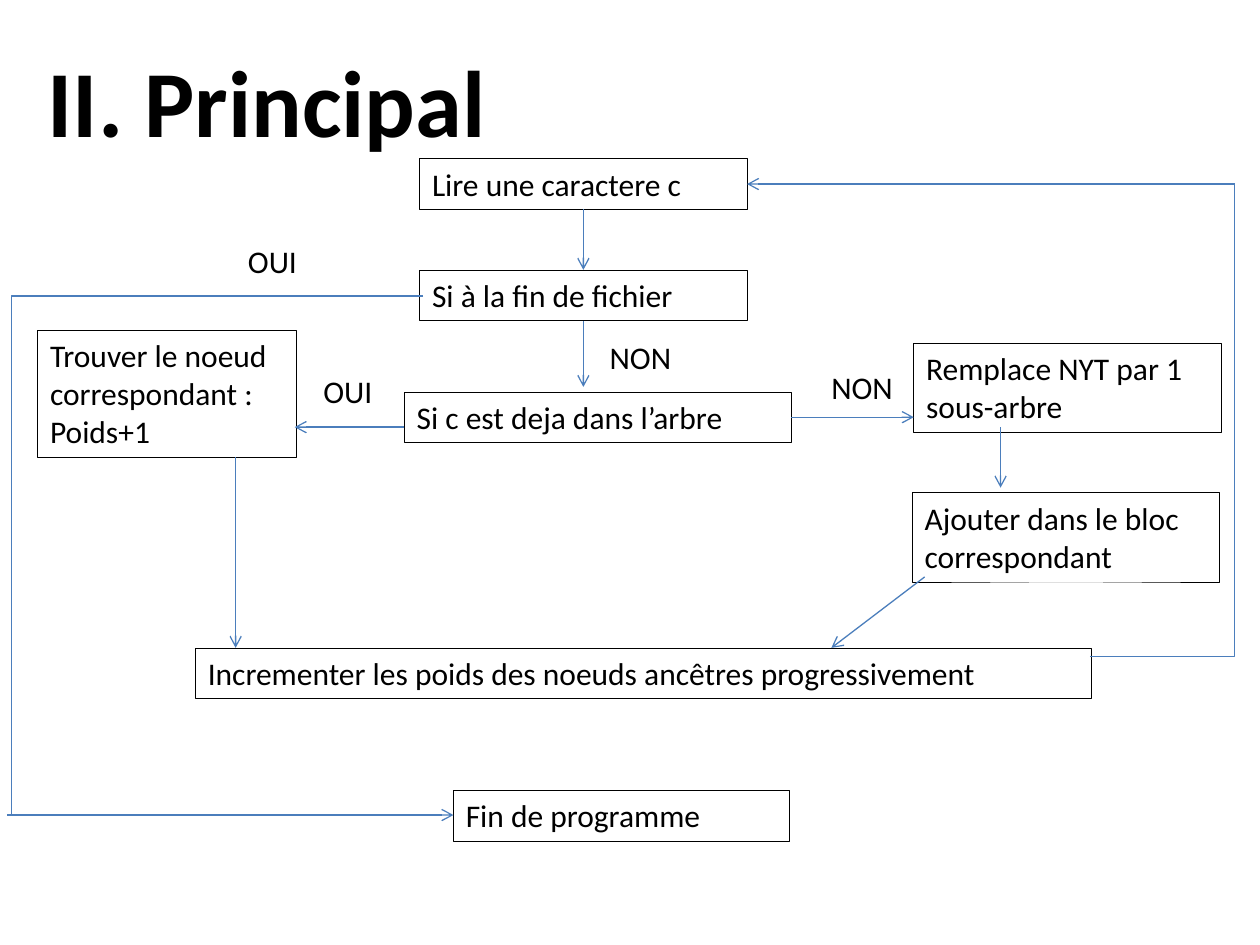
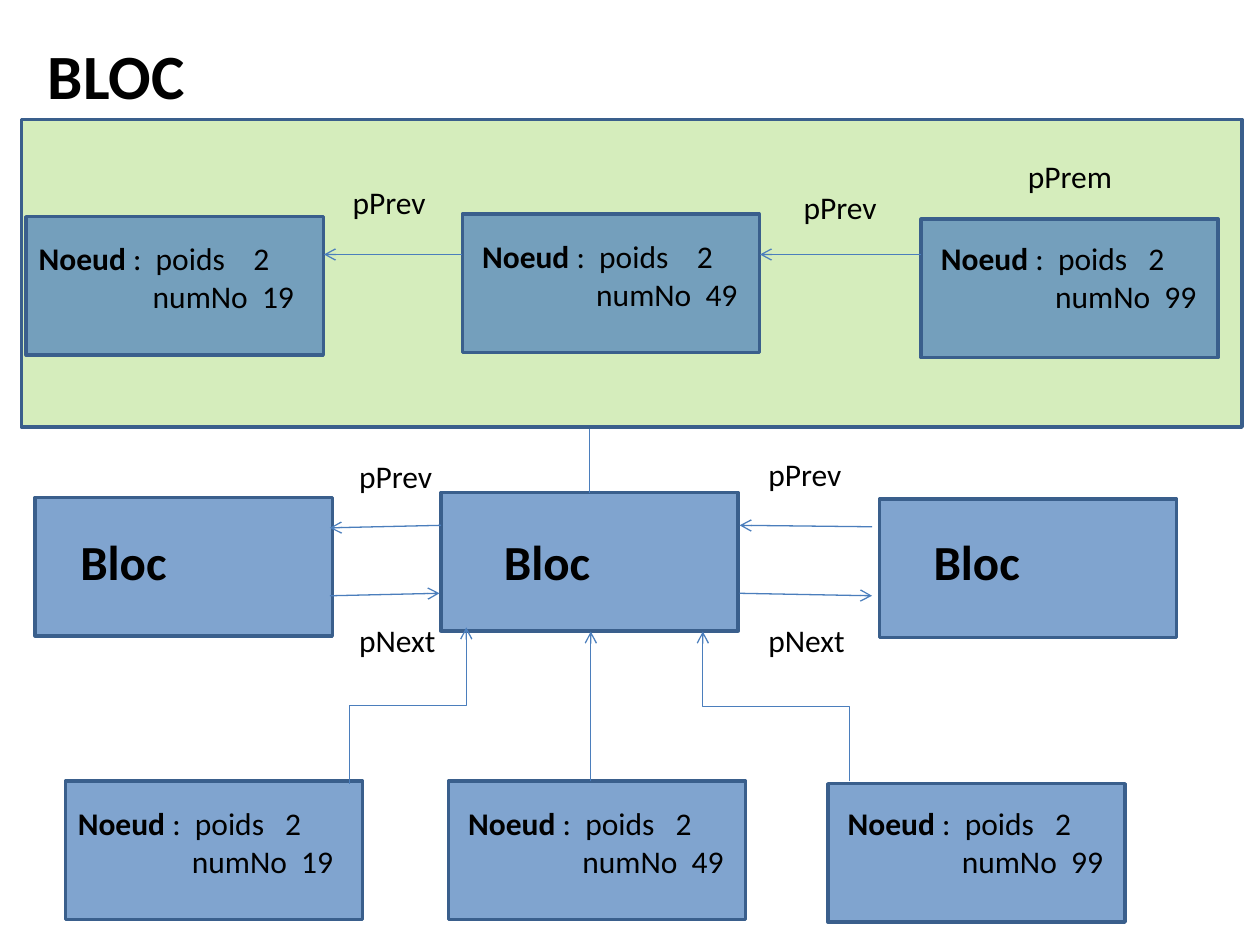
from lxml.etree import SubElement
from pptx import Presentation
from pptx.dml.color import RGBColor
from pptx.enum.shapes import MSO_CONNECTOR, MSO_SHAPE
from pptx.enum.text import MSO_ANCHOR, MSO_AUTO_SIZE, PP_ALIGN
from pptx.oxml.ns import qn
from pptx.util import Cm, Pt

FONT = "Calibri"
BLACK = "000000"
ARROW_BLUE = "4B7EBC"
BORDER_BLUE = "3A5F8C"
NODE_BLUE = "4F81BD"
GROUP_GREEN = "92D050"
LINE_HEIGHT = 1.02
NODE_SIZE = (5.99, 2.79)


def color(hex_string):
    return RGBColor.from_string(hex_string)


class Diagram:
    """Holds the deck, the current page and the shared style; lengths are in cm."""

    def __init__(self):
        self.deck = Presentation()
        self.deck.slide_width, self.deck.slide_height = Cm(25.4), Cm(19.05)
        self.page = None

    def style(self, paragraph, size=18, bold=False):
        paragraph.alignment = PP_ALIGN.LEFT
        font = paragraph.font
        font.name, font.size, font.bold = FONT, Pt(size), bold
        font.color.rgb = color(BLACK)

    def new_page(self, title, size, left, top, width, height):
        self.page = self.deck.slides.add_slide(self.deck.slide_layouts[5])
        box = self.page.shapes.title
        box.left, box.top, box.width, box.height = map(Cm, (left, top, width, height))
        frame = box.text_frame
        frame.text = title
        frame.auto_size = MSO_AUTO_SIZE.NONE
        frame.vertical_anchor = MSO_ANCHOR.TOP
        self.style(frame.paragraphs[0], size, True)

    def text(self, words, left, top, width, height=LINE_HEIGHT, size=18, bold=False):
        box = self.page.shapes.add_textbox(*map(Cm, (left, top, width, height)))
        frame = box.text_frame
        frame.word_wrap = True
        frame.text = words
        for paragraph in frame.paragraphs:
            self.style(paragraph, size, bold)
        return box

    def step(self, words, left, top, width, height=LINE_HEIGHT):
        """Outlined box of the flow chart."""
        box = self.text(words, left, top, width, height)
        box.line.color.rgb = color(BLACK)
        box.line.width = Pt(0.25)

    def panel(self, fill, opacity, left, top, width, height):
        """Rectangle with a translucent fill; opacity is in percent."""
        shape = self.page.shapes.add_shape(
            MSO_SHAPE.RECTANGLE, *map(Cm, (left, top, width, height)))
        shape.shadow.inherit = False
        shape.fill.solid()
        shape.fill.fore_color.rgb = color(fill)
        shape.line.color.rgb = color(BORDER_BLUE)
        shape.line.width = Pt(2)
        tint = shape._element.spPr.find(qn("a:solidFill")).find(qn("a:srgbClr"))
        SubElement(tint, qn("a:alpha"), val=str(opacity * 1000))

    def bloc(self, left, top, text_left):
        self.panel(NODE_BLUE, 72, left, top, *NODE_SIZE)
        self.text("Bloc", text_left, 10.59, 4.29, 1.45, 28, True)

    def node(self, number, left, top, text_left, text_top, weight_stop):
        """Panel with a weight, aligned by a tab stop, above an indented number."""
        self.panel(NODE_BLUE, 72, left, top, *NODE_SIZE)
        box = self.text(f"\nnumNo  {number}", text_left, text_top, 5.69, 1.8)
        weight, numbering = box.text_frame.paragraphs
        for words, bold in (("Noeud", True), (" :  poids\t2", False)):
            span = weight.add_run()
            span.text = words
            span.font.bold = bold
        stops = SubElement(weight._p.get_or_add_pPr(), qn("a:tabLst"))
        # The schema wants the tab list ahead of the run defaults.
        stops.getparent().insert(0, stops)
        SubElement(stops, qn("a:tab"), pos=str(Cm(weight_stop)), algn="l")
        numbering._p.get_or_add_pPr().set("marL", str(Cm(2.3)))

    def line(self, begin, end, arrow=True, kind=MSO_CONNECTOR.STRAIGHT):
        connector = self.page.shapes.add_connector(kind, *map(Cm, (*begin, *end)))
        connector.line.color.rgb = color(ARROW_BLUE)
        connector.line.width = Pt(0.75)
        properties = connector._element.spPr
        if arrow:
            SubElement(properties.find(qn("a:ln")), qn("a:tailEnd"), type="arrow")
        SubElement(properties, qn("a:effectLst"))
        return properties

    def corner(self, begin, end):
        """Plain line that runs across, then turns once."""
        properties = self.line(begin, end, False, MSO_CONNECTOR.ELBOW)
        properties.find(qn("a:prstGeom")).set("prst", "bentConnector2")

    def riser(self, begin, end):
        """Arrow that goes up, across and up: an elbow turned by 90 degrees."""
        (x1, y1), (x2, y2) = begin, end
        middle_x, middle_y = (x1 + x2) / 2, (y1 + y2) / 2
        half_x, half_y = (y2 - y1) / 2, (x1 - x2) / 2
        properties = self.line((middle_x - half_x, middle_y - half_y),
                               (middle_x + half_x, middle_y + half_y),
                               kind=MSO_CONNECTOR.ELBOW)
        properties.find(qn("a:xfrm")).set("rot", str(90 * 60000))


def draw_main_flow(diagram):
    diagram.new_page("II. Principal", 54, 0.71, 0.74, 12.8, 3.33)
    for step in (
        ("Lire une caractere c", 8.46, 3.2, 6.6),
        ("Si à la fin de fichier", 8.46, 5.44, 6.6),
        ("Si c est deja dans l’arbre", 8.15, 7.9, 7.8),
        ("Trouver le noeud correspondant :\nPoids+1", 0.76, 6.65, 5.21, 2.57),
        ("Remplace NYT par 1 sous-arbre", 18.42, 6.91, 6.2, 1.8),
        ("Ajouter dans le bloc correspondant", 18.39, 9.93, 6.2, 1.8),
        ("Incrementer les poids des noeuds ancêtres progressivement", 3.94, 13.06, 18.06),
        ("Fin de programme", 9.14, 15.93, 6.78),
    ):
        diagram.step(*step)
    for begin, end in (
        ((11.76, 4.22), (11.76, 5.44)),
        ((11.76, 6.48), (11.76, 7.8)),
        ((8.15, 8.61), (5.94, 8.61)),
        ((15.95, 8.41), (18.42, 8.41)),
        ((20.17, 8.61), (20.17, 9.83)),
        ((18.64, 11.63), (16.76, 13.06)),
        ((4.75, 9.22), (4.75, 13.06)),
        ((0.15, 16.43), (9.14, 16.43)),
        ((24.89, 3.71), (15.06, 3.71)),
    ):
        diagram.line(begin, end)
    diagram.corner((8.53, 5.97), (0.23, 16.43))
    diagram.corner((21.97, 13.23), (24.89, 3.71))
    for answer in (
        ("NON", 16.51, 7.29, 1.9),
        ("NON", 12.04, 6.68, 1.9),
        ("OUI", 4.75, 4.75, 2.79),
        ("OUI", 6.27, 7.37, 2.79),
    ):
        diagram.text(*answer)


def draw_blocs(diagram):
    diagram.new_page("BLOC", 36, 0.71, 0.61, 5.23, 1.8)
    diagram.panel(GROUP_GREEN, 38, 0.43, 2.41, 24.61, 6.2)
    for node in (
        (19, 0.53, 4.37, 0.53, 4.7, 4.33),
        (49, 9.32, 4.32, 9.47, 4.65, 4.33),
        (99, 18.57, 4.42, 18.72, 4.7, 4.18),
        (19, 1.32, 15.75, 1.32, 16.08, 4.18),
        (49, 9.04, 15.75, 9.19, 16.08, 4.18),
        (99, 16.69, 15.8, 16.84, 16.08, 4.18),
    ):
        diagram.node(*node)
    for bloc in ((0.71, 10.03, 1.37), (8.89, 9.93, 9.91), (17.73, 10.06, 18.57)):
        diagram.bloc(*bloc)
    for begin, end in (
        ((18.57, 5.13), (15.32, 5.13)),
        ((9.32, 5.13), (6.53, 5.13)),
        ((11.91, 15.75), (11.91, 12.73)),
        ((8.89, 10.59), (6.65, 10.64)),
        ((6.65, 12.01), (8.86, 11.96)),
        ((17.58, 10.62), (14.91, 10.59)),
        ((14.91, 11.96), (17.58, 12.01)),
    ):
        diagram.line(begin, end)
    diagram.line((11.89, 9.93), (11.89, 8.64), arrow=False)
    diagram.riser((7.04, 15.8), (9.4, 12.65))
    diagram.riser((17.12, 15.75), (14.17, 12.73))
    for pointer, left, top in (
        ("pPrev", 15.95, 3.66),
        ("pPrev", 6.86, 3.56),
        ("pPrem", 20.47, 3.05),
        ("pPrev", 6.99, 9.09),
        ("pNext", 6.99, 12.4),
        ("pPrev", 15.24, 9.04),
        ("pNext", 15.24, 12.4),
    ):
        diagram.text(pointer, left, top, 2.3)


def main():
    diagram = Diagram()
    draw_main_flow(diagram)
    draw_blocs(diagram)
    diagram.deck.save("out.pptx")


if __name__ == "__main__":
    main()
